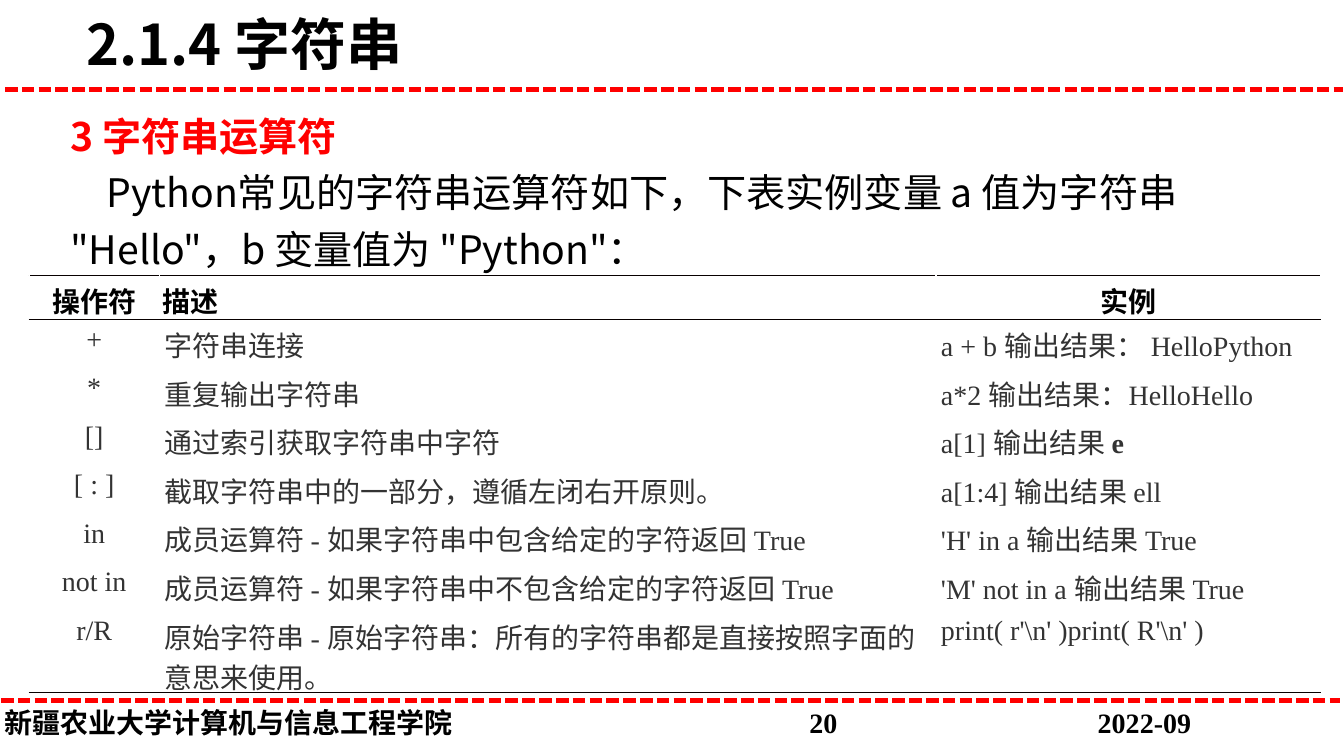
from lxml.etree import SubElement
from pptx import Presentation
from pptx.dml.color import RGBColor
from pptx.enum.dml import MSO_LINE
from pptx.enum.shapes import MSO_CONNECTOR, MSO_SHAPE
from pptx.enum.text import MSO_ANCHOR, PP_ALIGN
from pptx.oxml import parse_xml
from pptx.oxml.ns import nsdecls, qn
from pptx.util import Pt

COLORS = {"red": "FF0000", "black": "000000", "gray": "333333",
          "white": "FFFFFF", "rule": "080000"}
SANS, SERIF = "Noto Sans CJK SC", "Times New Roman"
HEADER = ("操作符", "描述", "实例")
OPERATORS = [
    ("+", "字符串连接", "a + b 输出结果： HelloPython"),
    ("*", "重复输出字符串", "a*2 输出结果：HelloHello"),
    ("[]", "通过索引获取字符串中字符", ("a[1] 输出结果 ", "e")),
    ("[ : ]", "截取字符串中的一部分，遵循左闭右开原则。", "a[1:4] 输出结果 ell"),
    ("in", "成员运算符 - 如果字符串中包含给定的字符返回 True", "'H' in a 输出结果 True"),
    ("not in", "成员运算符 - 如果字符串中不包含给定的字符返回 True",
     "'M' not in a 输出结果 True"),
    ("r/R", "原始字符串 - 原始字符串：所有的字符串都是直接按照字面的意思来使用。",
     r"print( r'\n' )print( R'\n' )"),
]
COLUMN_WIDTHS = (92.9, 555.1, 275)
ROW_HEIGHTS = (28.8, *[34.7] * 6, 58.3)


def rgb(name):
    return RGBColor.from_string(COLORS[name])


def write(p, text, font=SERIF, size=20, color="black", bold=False):
    r = p.add_run()
    r.text = text
    r.font.size, r.font.bold = Pt(size), bold
    r.font.color.rgb = rgb(color)
    r.font.name = font
    SubElement(r.font._element, qn("a:ea"), typeface=SANS)


def set_frame(tf, anchor=MSO_ANCHOR.TOP, left=7.2):
    tf.word_wrap = True
    tf.vertical_anchor = anchor
    tf.margin_left, tf.margin_right = Pt(left), Pt(7.2)
    tf.margin_top = tf.margin_bottom = Pt(3.6)
    return tf


def add_dashed_rule(s, x1, x2, y):
    line = s.shapes.add_connector(MSO_CONNECTOR.STRAIGHT, Pt(x1), Pt(y), Pt(x2), Pt(y))
    line.line.color.rgb = rgb("red")
    line.line.width = Pt(3)
    line.line.dash_style = MSO_LINE.SQUARE_DOT
    SubElement(line._element.spPr, qn("a:effectLst"))


def add_title(s, x, y, w, h):
    box = s.shapes.add_textbox(Pt(x), Pt(y), Pt(w), Pt(h))
    tf = set_frame(box.text_frame, MSO_ANCHOR.MIDDLE)
    write(tf.paragraphs[0], "2.1.4 字符串", font=SANS, size=40, bold=True)
    add_dashed_rule(s, 3.6, 960, y + h + 2)


def add_intro(s, x, y, w, h):
    sp = s.shapes.add_shape(MSO_SHAPE.RECTANGLE, Pt(x), Pt(y), Pt(w), Pt(h))
    sp.shadow.inherit = False
    sp.fill.solid()
    sp.fill.fore_color.rgb = rgb("white")
    sp.line.fill.background()
    tf = set_frame(sp.text_frame)
    heading, body = tf.paragraphs[0], tf.add_paragraph()
    for p in (heading, body):
        p.alignment, p.line_spacing = PP_ALIGN.LEFT, 1.2
    body._p.get_or_add_pPr().set("indent", str(Pt(26)))
    write(heading, "3 字符串运算符", font=SANS, size=28, color="red", bold=True)
    write(body, 'Python常见的字符串运算符如下，下表实例变量 a 值为字符串 "Hello"，b 变量值为 "Python"：',
          font=SANS, size=28)


def set_borders(cell, sides):
    tcPr = cell._tc.get_or_add_tcPr()
    for i, side in enumerate(sides):
        tcPr.insert(i, parse_xml(
            f'<a:ln{side} {nsdecls("a")} w="5715"><a:solidFill>'
            f'<a:srgbClr val="{COLORS["rule"]}"/></a:solidFill></a:ln{side}>'))


def add_operator_table(s, x, y):
    rows = [HEADER, *OPERATORS]
    table = s.shapes.add_table(len(rows), len(HEADER), Pt(x), Pt(y),
                               Pt(sum(COLUMN_WIDTHS)), Pt(sum(ROW_HEIGHTS))).table
    table.first_row = table.horz_banding = False
    for column, width in zip(table.columns, COLUMN_WIDTHS):
        column.width = Pt(width)
    for row, height in zip(table.rows, ROW_HEIGHTS):
        row.height = Pt(height)
    borders = {0: "TB", 1: "T", len(rows) - 1: "B"}
    for i, row in enumerate(rows):
        head = i == 0
        for j, content in enumerate(row):
            cell = table.cell(i, j)
            cell.fill.background()
            cell.margin_left = cell.margin_right = Pt(2.2 if head else 3.6)
            cell.margin_top = cell.margin_bottom = Pt(3.6)
            set_borders(cell, borders.get(i, ""))
            p = cell.text_frame.paragraphs[0]
            centered = j == 0 or (head and j == 2)
            p.alignment = PP_ALIGN.CENTER if centered else PP_ALIGN.LEFT
            parts = (content,) if isinstance(content, str) else content
            for k, text in enumerate(parts):
                write(p, text, color="black" if head else "gray", bold=head or k > 0)


def add_footer(s, x, y, w, h):
    add_dashed_rule(s, x + 0.7, x + 957.6, y)
    box = s.shapes.add_textbox(Pt(x), Pt(y), Pt(w), Pt(h))
    p = set_frame(box.text_frame, left=3).paragraphs[0]
    tabs = SubElement(p._p.get_or_add_pPr(), qn("a:tabLst"))
    for pos in (575.5, 781.5):
        SubElement(tabs, qn("a:tab"), pos=str(Pt(pos)), algn="l")
    write(p, "新疆农业大学计算机与信息工程学院\t20\t2022-09", bold=True)


def main():
    prs = Presentation()
    prs.slide_width, prs.slide_height = Pt(960.5), Pt(540)
    s = prs.slides.add_slide(prs.slide_layouts[6])
    add_footer(s, 0, 500.4, 950, 31.7)
    add_title(s, 54.7, 0, 584, 62)
    add_intro(s, 43.2, 69.8, 874, 128)
    add_operator_table(s, 20.9, 196.6)
    prs.save("out.pptx")


if __name__ == "__main__":
    main()
